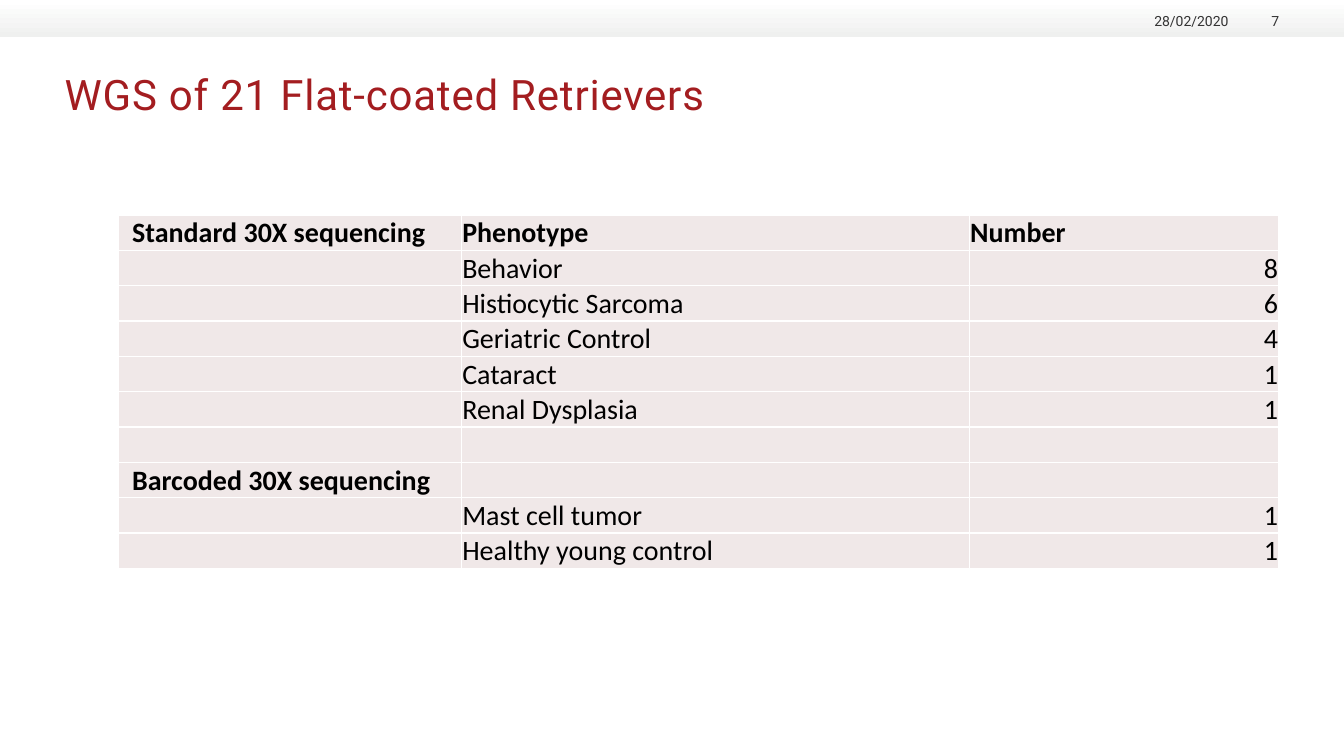
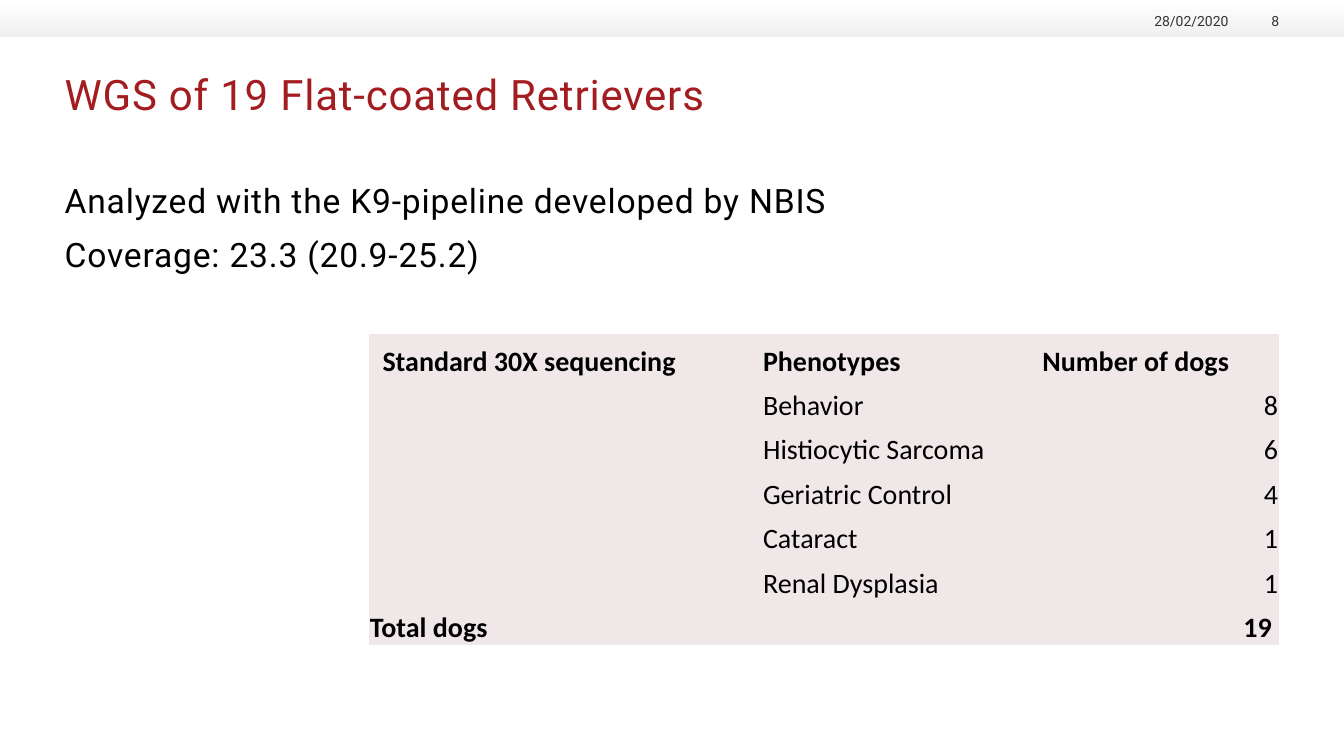
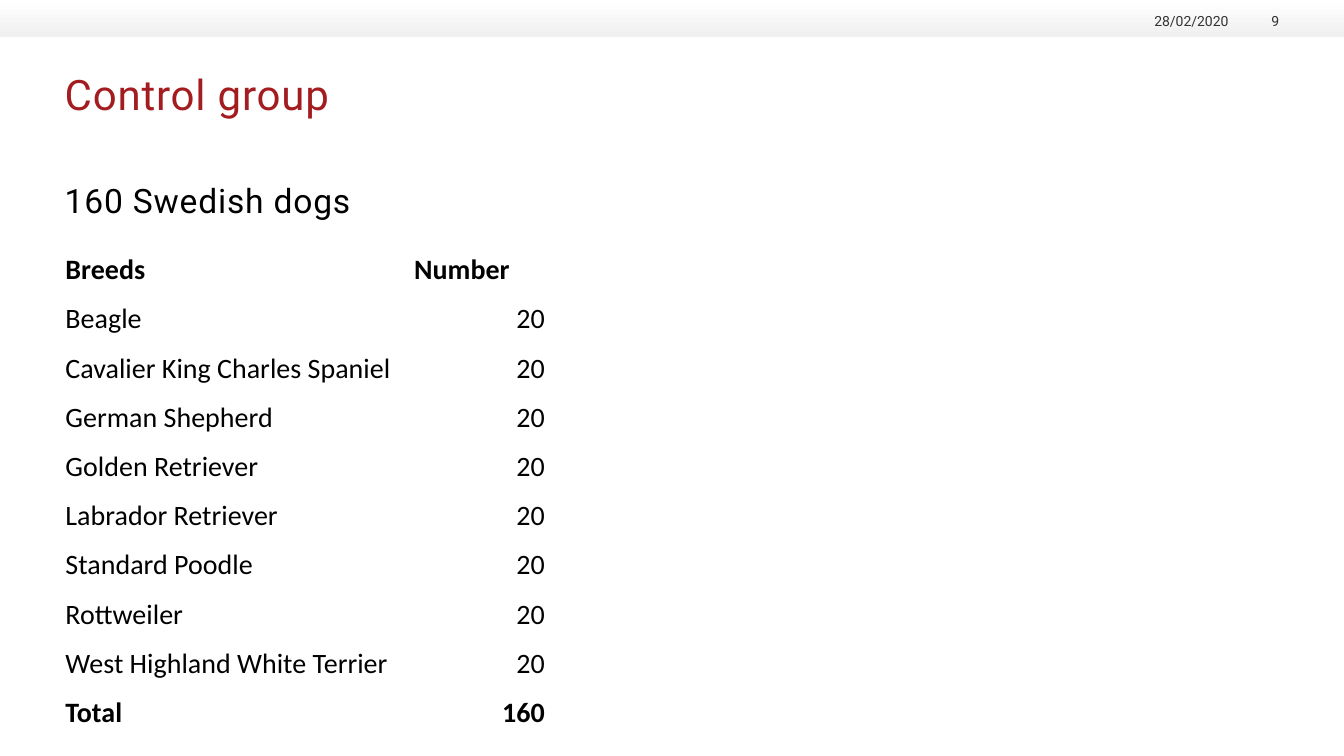
from lxml import etree
from pptx import Presentation
from pptx.dml.color import RGBColor
from pptx.enum.shapes import MSO_SHAPE
from pptx.enum.text import MSO_ANCHOR, MSO_AUTO_SIZE, PP_ALIGN
from pptx.oxml.ns import qn
from pptx.util import Cm, Pt

RECTANGLE = MSO_SHAPE.RECTANGLE
TOP, BOTTOM = MSO_ANCHOR.TOP, MSO_ANCHOR.BOTTOM
LEFT, RIGHT = PP_ALIGN.LEFT, PP_ALIGN.RIGHT
NO_AUTO_SIZE = MSO_AUTO_SIZE.NONE

RED, BLACK, GREY, WHITE = "A31D20", "000000", "333333", "FFFFFF"
BAND_END, CELL_FILL = "EFF0EF", "F0E8E8"
HEADING_FONT, TABLE_FONT = "Roboto", "Calibri"
SLIDE_WIDTH, SLIDE_HEIGHT = 33.87, 19.05
MARGIN, CONTENT_WIDTH = 1.63, 30.58
NO_STYLE = "{2D5ABB26-0587-4C30-8999-92F81FD0307C}"
TITLE_ONLY, TITLE_AND_BODY = 5, 1
DATE = "28/02/2020"
PHENOTYPES = [
    ["", "Behavior", "8"],
    ["", "Histiocytic Sarcoma", "6"],
    ["", "Geriatric Control", "4"],
    ["", "Cataract", "1"],
    ["", "Renal Dysplasia", "1"],
]
BREEDS = [
    "Beagle", "Cavalier King Charles Spaniel", "German Shepherd",
    "Golden Retriever", "Labrador Retriever", "Standard Poodle",
    "Rottweiler", "West Highland White Terrier",
]


def colour(value):
    """Turn a hex string into a colour."""
    return RGBColor.from_string(value)


def place(shape, left, top, width, height):
    """Move and size a shape, in centimetres."""
    shape.left, shape.top = Cm(left), Cm(top)
    shape.width, shape.height = Cm(width), Cm(height)


def add_run(paragraph, text, size, font=HEADING_FONT, fill=BLACK, bold=False, spacing=0):
    """Add one formatted run; spacing is in hundredths of a point."""
    run = paragraph.add_run()
    run.text = text
    run.font.size, run.font.name, run.font.bold = Pt(size), font, bold
    run.font.color.rgb = colour(fill)
    if spacing:
        run._r.get_or_add_rPr().set("spc", str(spacing))


def prepare_frame(frame, anchor):
    """Remove margins and fix the anchor of a text frame."""
    frame.margin_left = frame.margin_right = frame.margin_top = frame.margin_bottom = 0
    frame.word_wrap = True
    frame.auto_size = NO_AUTO_SIZE
    frame.vertical_anchor = anchor


def style_master(presentation):
    """Place the shared title and body and add the top band to the master."""
    master = presentation.slide_master
    title, body = master.placeholders[0], master.placeholders[1]
    place(title, MARGIN, 1.73, CONTENT_WIDTH, 2.41)
    place(body, MARGIN, 4.53, CONTENT_WIDTH, 12.98)
    for placeholder in (title, body):
        prepare_frame(placeholder.text_frame, TOP)
    band = presentation.slides[0].shapes.add_shape(
        RECTANGLE, 0, 0, Cm(SLIDE_WIDTH), Cm(0.93))
    band.shadow.inherit = False
    band.line.fill.background()
    band.fill.gradient()
    band.fill.gradient_angle = 270
    for stop, value in zip(band.fill.gradient_stops, (WHITE, BAND_END)):
        stop.color.rgb = colour(value)
    master.shapes.element.insert(2, band.element)


def add_header_text(slide, text, left, width):
    """Add small right-aligned text in the top band."""
    box = slide.shapes.add_textbox(Cm(left), Cm(0.25), Cm(width), Cm(0.48))
    prepare_frame(box.text_frame, BOTTOM)
    paragraph = box.text_frame.paragraphs[0]
    paragraph.alignment = RIGHT
    add_run(paragraph, text, 10, fill=GREY)


def add_slide(presentation, number, title, lines=()):
    """Add a slide with title, date, number and optional body lines."""
    layout = presentation.slide_layouts[TITLE_AND_BODY if lines else TITLE_ONLY]
    slide = presentation.slides.add_slide(layout)
    heading = slide.shapes.title.text_frame.paragraphs[0]
    heading.alignment = LEFT
    add_run(heading, title, 30, fill=RED, spacing=60)
    add_header_text(slide, DATE, 28.7, 2.26)
    add_header_text(slide, str(number), 31.17, 1.07)
    for index, line in enumerate(lines):
        frame = slide.placeholders[1].text_frame
        paragraph = frame.add_paragraph() if index else frame.paragraphs[0]
        properties = paragraph._p.get_or_add_pPr()
        properties.set("marL", "0")
        properties.set("indent", "0")
        etree.SubElement(properties, qn("a:buNone"))
        paragraph.space_before = Pt(10 if index else 0)
        add_run(paragraph, line, 24, spacing=60)
    return slide


def add_borders(cell, value):
    """Draw a one-point line on each side of a cell."""
    properties = cell._tc.get_or_add_tcPr()
    for index, side in enumerate(("lnL", "lnR", "lnT", "lnB")):
        line = etree.Element(qn(f"a:{side}"), w=str(Pt(1)))
        fill = etree.SubElement(line, qn("a:solidFill"))
        etree.SubElement(fill, qn("a:srgbClr"), val=value)
        properties.insert(index, line)


def fill_cell(cell, text, bold, fill, border, line_spacing):
    """Format one table cell; numbers go to the right."""
    cell.margin_left = cell.margin_right = cell.margin_top = Cm(0.02)
    cell.margin_bottom = 0
    cell.vertical_anchor = BOTTOM
    if fill:
        cell.fill.solid()
        cell.fill.fore_color.rgb = colour(fill)
    else:
        cell.fill.background()
    if border:
        add_borders(cell, border)
    if text:
        paragraph = cell.text_frame.paragraphs[0]
        paragraph.alignment = RIGHT if text.isdigit() else LEFT
        if line_spacing:
            paragraph.line_spacing = line_spacing
        add_run(paragraph, text, 20, TABLE_FONT, bold=bold)


def add_table(slide, rows, left, top, widths, row_height, bold_rows,
              fill=None, border=None, line_spacing=None):
    """Add a plain table from rows of text."""
    frame = slide.shapes.add_table(
        len(rows), len(widths), Cm(left), Cm(top),
        Cm(sum(widths)), Cm(row_height * len(rows)))
    table = frame.table
    table.first_row = table.horz_banding = False
    table._tbl.tblPr.find(qn("a:tableStyleId")).text = NO_STYLE
    for column, width in zip(table.columns, widths):
        column.width = Cm(width)
    for row_index, row in enumerate(rows):
        table.rows[row_index].height = Cm(row_height)
        for column_index, text in enumerate(row):
            fill_cell(table.cell(row_index, column_index), text,
                      row_index in bold_rows, fill, border, line_spacing)
    return table


def indent_cells(table, *rows):
    """Indent the first cell of the given rows."""
    for row in rows:
        table.cell(row, 0).margin_left = Cm(0.34)


def main():
    """Build and save the presentation."""
    presentation = Presentation()
    presentation.slide_width, presentation.slide_height = Cm(SLIDE_WIDTH), Cm(SLIDE_HEIGHT)

    sequenced = add_slide(presentation, 7, "WGS of 21 Flat-coated Retrievers")
    style_master(presentation)
    rows = [
        ["Standard 30X sequencing", "Phenotype", "Number"],
        *PHENOTYPES,
        ["", "", ""],
        ["Barcoded 30X sequencing", "", ""],
        ["", "Mast cell tumor", "1"],
        ["", "Healthy young control", "1"],
    ]
    table = add_table(sequenced, rows, 2.99, 5.42, (8.64, 12.8, 7.8), 0.89,
                      (0, 7), CELL_FILL, WHITE)
    indent_cells(table, 0, 7)

    analyzed = add_slide(
        presentation, 8, "WGS of 19 Flat-coated Retrievers",
        ["Analyzed with the K9-pipeline developed by NBIS", "Coverage: 23.3 (20.9-25.2)"])
    rows = [
        ["Standard 30X sequencing", "Phenotypes", "Number of dogs"],
        *PHENOTYPES,
        ["Total dogs", "", "19"],
    ]
    table = add_table(analyzed, rows, 9.3, 8.42, (9.91, 7.04, 5.98), 1.12,
                      (0, 6), CELL_FILL)
    indent_cells(table, 0)
    table.cell(6, 2).margin_right = Cm(0.18)

    control = add_slide(presentation, 9, "Control group", ["160 Swedish dogs"])
    rows = [["Breeds", "Number"], *([breed, "20"] for breed in BREEDS), ["Total", "160"]]
    add_table(control, rows, MARGIN, 6, (8.79, 3.33), 1.24, (0, 9), line_spacing=1.4)

    presentation.save("out.pptx")


if __name__ == "__main__":
    main()
